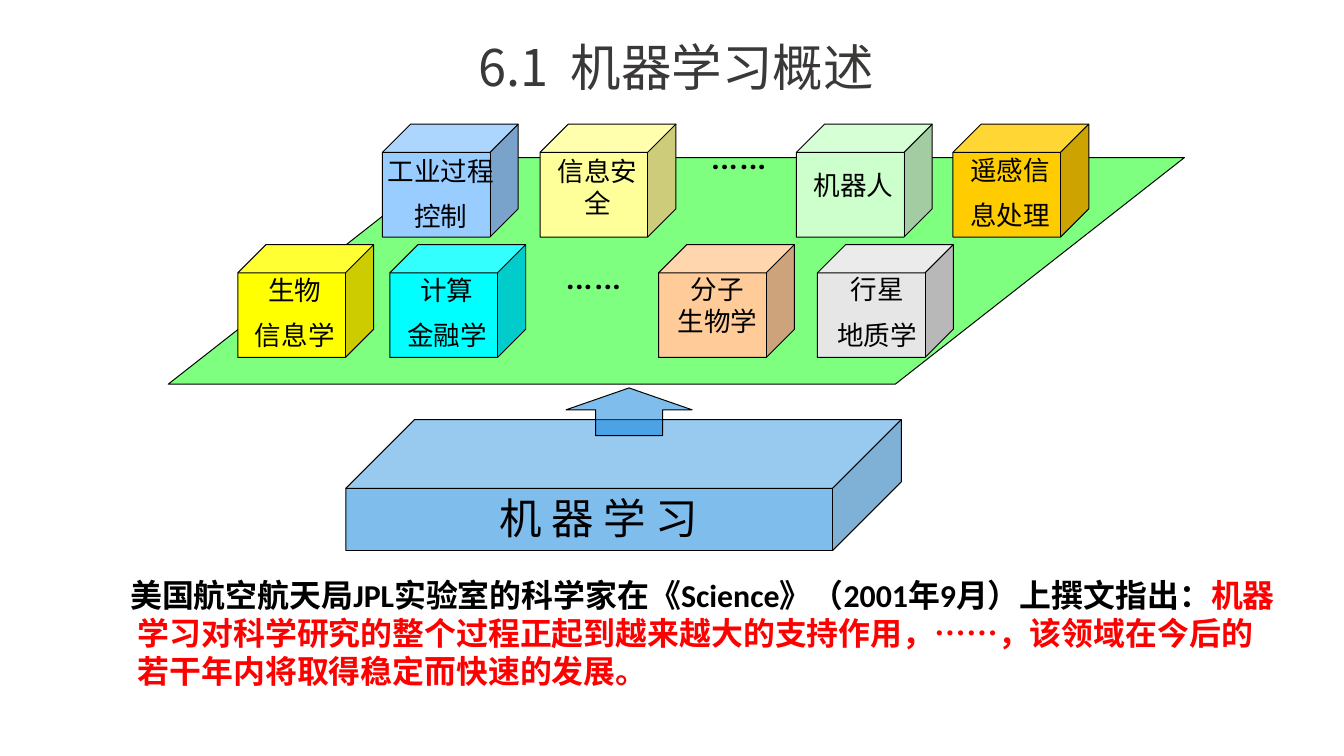
from lxml.etree import SubElement
from pptx import Presentation
from pptx.dml.color import RGBColor
from pptx.enum.shapes import MSO_SHAPE
from pptx.enum.text import PP_ALIGN
from pptx.oxml.ns import qn
from pptx.util import Cm, Pt

BLACK = RGBColor(0x00, 0x00, 0x00)
DARK_GREY = RGBColor(0x3B, 0x38, 0x38)
RED = RGBColor(0xFF, 0x00, 0x00)
GREEN = RGBColor(0x00, 0xFF, 0x00)
BLUE = RGBColor(0x00, 0x7D, 0xDD)
YELLOW = RGBColor(0xFF, 0xFF, 0x00)
CYAN = RGBColor(0x00, 0xFF, 0xFF)
PEACH = RGBColor(0xFF, 0xCC, 0x99)
LIGHT_GREY = RGBColor(0xE7, 0xE6, 0xE6)
SKY = RGBColor(0x99, 0xCC, 0xFF)
CREAM = RGBColor(0xFF, 0xFF, 0x99)
MINT = RGBColor(0xCC, 0xFF, 0xCC)
GOLD = RGBColor(0xFF, 0xCC, 0x00)

CUBE_W, CUBE_H = 3.61, 3
UPPER, LOWER = 3.3, 6.5
LABEL_W = 3.89

FIELDS = [
    (6.32, LOWER, YELLOW, ["生物", "信息学"], 10),
    (10.36, LOWER, CYAN, ["计算", "金融学"], 10),
    (17.5, LOWER, PEACH, ["分子", "生物学"], 0),
    (21.72, LOWER, LIGHT_GREY, ["行星", "地质学"], 10),
    (10.16, UPPER, SKY, ["工业过程", "控制"], 10),
    (14.35, UPPER, CREAM, ["信息安全"], 0),
    (21.16, UPPER, MINT, ["机器人"], 0),
    (25.32, UPPER, GOLD, ["遥感信", "息处理"], 10),
]
LABEL_SHIFTS = {
    "分子": (-0.38, 0.64, LABEL_W),
    "行星": (-0.36, 0.64, LABEL_W),
    "工业过程": (-0.15, 0.69, 3.4),
    "信息安全": (0.18, 0.69, 2.69),
    "机器人": (-0.43, 1.07, LABEL_W),
}


def add_solid(s, kind, x, y, w, h, color, adjustments, alpha=None):
    sp = s.shapes.add_shape(kind, Cm(x), Cm(y), Cm(w), Cm(h))
    sp.shadow.inherit = False
    for i, value in enumerate(adjustments):
        sp.adjustments[i] = value
    sp.fill.solid()
    sp.fill.fore_color.rgb = color
    sp.line.color.rgb = BLACK
    sp.line.width = Pt(0.75)
    if alpha is not None:
        clr = sp._element.spPr.find(qn("a:solidFill"))[0]
        SubElement(clr, qn("a:alpha")).set("val", str(alpha * 1000))


def add_text(s, x, y, w, h, lines, size, font="Roboto", color=BLACK, gap=0, wrap=True):
    tf = s.shapes.add_textbox(Cm(x), Cm(y), Cm(w), Cm(h)).text_frame
    tf.word_wrap = wrap
    tf.text = "\n".join(lines)
    for i, p in enumerate(tf.paragraphs):
        p.alignment = PP_ALIGN.CENTER
        if i:
            p.space_before = Pt(gap)
        p.font.size = Pt(size)
        p.font.name = font
        p.font.color.rgb = color


def add_field(s, x, y, color, lines, gap):
    add_solid(s, MSO_SHAPE.CUBE, x, y, CUBE_W, CUBE_H, color, [0.25])
    dx, dy, w = LABEL_SHIFTS.get(lines[0], (-0.43, 0.66, LABEL_W))
    add_text(s, x + dx, y + dy, w, 2.39, lines, 20, gap=gap)


def add_quote(s):
    tf = s.shapes.add_textbox(Cm(2.46), Cm(15.16), Cm(31.8), Cm(5.08)).text_frame
    tf.word_wrap = True
    p = tf.paragraphs[0]
    pPr = p._p.get_or_add_pPr()
    pPr.set("marL", str(Cm(0.95)))
    pPr.set("indent", str(Cm(-0.2)))
    for text, color in [
        ("美国航空航天局JPL实验室的科学家在《Science》（2001年9月）上撰文指出：", BLACK),
        ("机器学习对科学研究的整个过程正起到越来越大的支持作用，……，该领域在今后的若干年内将取得稳定而快速的发展。", RED),
    ]:
        r = p.add_run()
        r.text = text
        r.font.size = Pt(24)
        r.font.name = "Calibri"
        r.font.bold = True
        r.font.color.rgb = color


def main():
    prs = Presentation()
    prs.slide_width, prs.slide_height = Cm(35.71), Cm(20.09)
    s = prs.slides.add_slide(prs.slide_layouts[6])
    add_text(s, 12.27, 0.84, 11.38, 1.9, ["6.1  机器学习概述"], 38,
             font="Noto Sans CJK SC", color=DARK_GREY, wrap=False)
    add_quote(s)
    add_solid(s, MSO_SHAPE.PARALLELOGRAM, 4.47, 4.19, 27, 6.02, GREEN, [1.276], alpha=50)
    for field in FIELDS:
        add_field(s, *field)
    for x, y in [(13.82, 6.43), (17.68, 3.25)]:
        add_text(s, x, y, LABEL_W, 2.41, ["……"], 32)
    add_solid(s, MSO_SHAPE.CUBE, 9.19, 11.15, 14.76, 3.48, BLUE, [0.525], alpha=50)
    add_solid(s, MSO_SHAPE.UP_ARROW, 15.04, 10.31, 3.35, 1.27, BLUE, [0.531, 0.458], alpha=50)
    add_text(s, 12.01, 12.95, 7.8, 1.63, ["机 器 学 习"], 32)
    prs.save("out.pptx")


if __name__ == "__main__":
    main()
